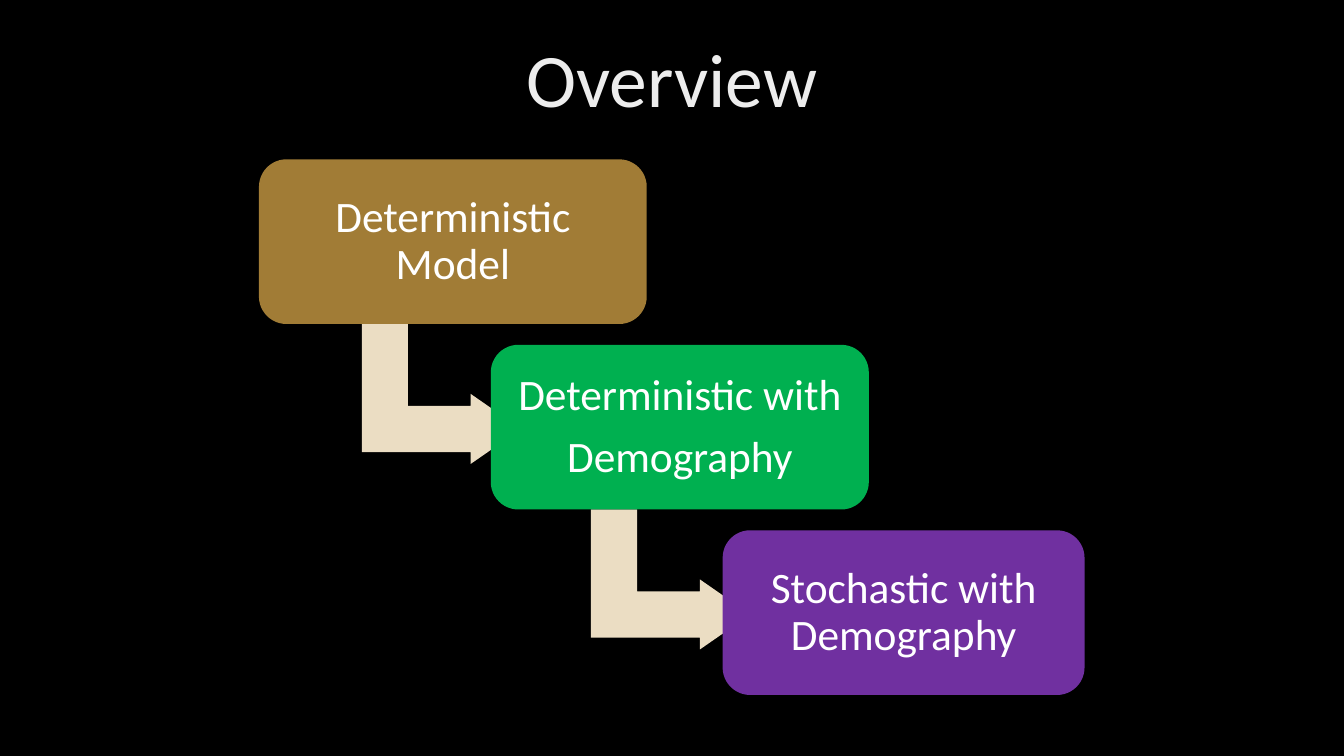
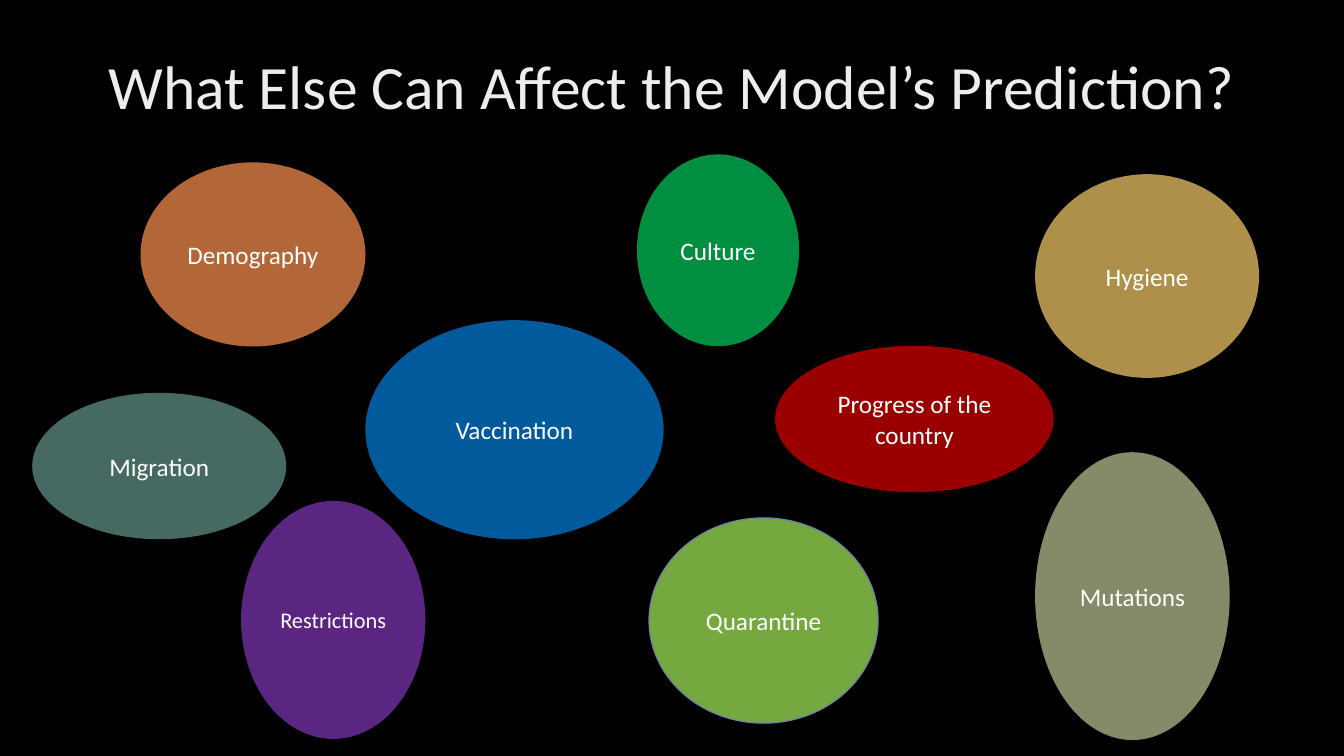
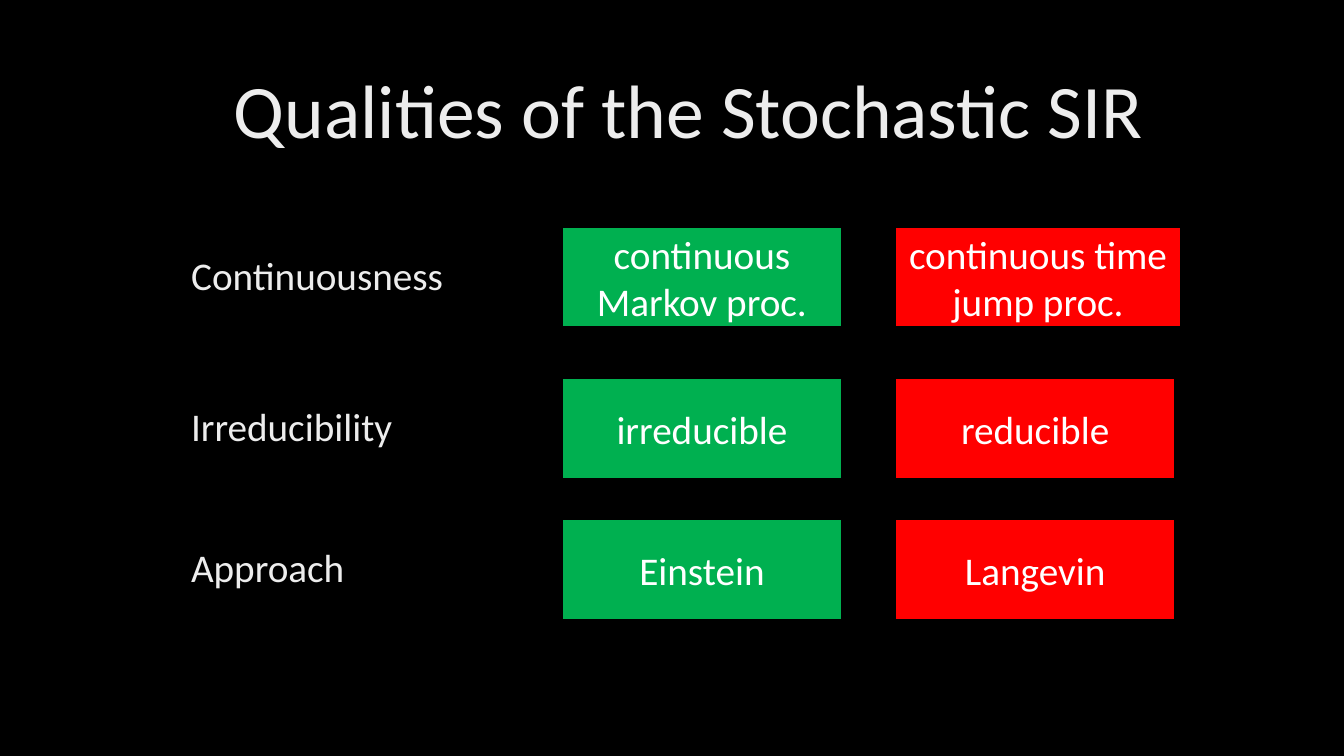
from lxml import etree
from pptx import Presentation
from pptx.dml.color import RGBColor
from pptx.enum.shapes import MSO_SHAPE
from pptx.enum.text import MSO_ANCHOR, MSO_AUTO_SIZE, PP_ALIGN
from pptx.oxml.ns import qn
from pptx.util import Pt

OVAL, RECT = MSO_SHAPE.OVAL, MSO_SHAPE.RECTANGLE
ROUNDED, BENT_ARROW = MSO_SHAPE.ROUNDED_RECTANGLE, MSO_SHAPE.BENT_UP_ARROW
CENTER, LEFT = PP_ALIGN.CENTER, PP_ALIGN.LEFT
MIDDLE, TOP = MSO_ANCHOR.MIDDLE, MSO_ANCHOR.TOP
NO_FIT = MSO_AUTO_SIZE.NONE

FONT = "Calibri"
COLORS = {
    "black": "000000", "white": "FFFFFF", "silver": "EDEDED",
    "bronze": "A17C36", "sand": "EBDDC3", "green": "00B050",
    "purple": "7030A0", "red": "FF0000", "orange": "DD8047",
    "lime": "92D050", "blue": "0070C0", "olive": "A5AB81",
    "crimson": "C00000", "teal": "578279", "gold": "D8B25C",
    "slate": "6D879B",
}
TITLE_SIZE = (828, 104.4)
TITLE_ONLY, TITLE_AND_BODY = 5, 1


def rgb(name):
    return RGBColor.from_string(COLORS[name])


def put_text(sp, text, size=18, color="white", align=CENTER, anchor=MIDDLE,
             line=1.0, gap=0, inset=(7.2, 3.6)):
    """Fill a shape with one paragraph per line of text."""
    tf = sp.text_frame
    tf.word_wrap = True
    tf.auto_size = NO_FIT
    tf.vertical_anchor = anchor
    tf.margin_left = tf.margin_right = Pt(inset[0])
    tf.margin_top = tf.margin_bottom = Pt(inset[1])
    for i, words in enumerate(text.split("\n")):
        p = tf.add_paragraph() if i else tf.paragraphs[0]
        pPr = p._p.get_or_add_pPr()
        pPr.set("marL", "0")
        pPr.set("indent", "0")
        etree.SubElement(pPr, qn("a:buNone"))
        p.alignment = align
        p.line_spacing = line
        p.space_before = Pt(gap if i else 0)
        r = p.add_run()
        r.text = words
        r.font.name, r.font.size = FONT, Pt(size)
        r.font.color.rgb = rgb(color)


def place(sp, box):
    sp.left, sp.top, sp.width, sp.height = map(Pt, box)


def add_block(s, kind, box, fill, line=None, line_width=1, alpha=None):
    sp = s.shapes.add_shape(kind, *map(Pt, box))
    sp.shadow.inherit = False
    sp.fill.solid()
    sp.fill.fore_color.rgb = rgb(fill)
    if alpha:
        clr = sp.element.spPr.find(qn("a:solidFill")).find(qn("a:srgbClr"))
        etree.SubElement(clr, qn("a:alpha")).set("val", str(alpha * 1000))
    if line:
        sp.line.color.rgb = rgb(line)
        sp.line.width = Pt(line_width)
    else:
        sp.line.fill.background()
    return sp


def add_slide(prs, layout, title, left, top, size=54):
    s = prs.slides.add_slide(prs.slide_layouts[layout])
    place(s.shapes.title, (left, top, *TITLE_SIZE))
    put_text(s.shapes.title, title, size=size, color="silver", line=0.9)
    return s


# Overview: a staircase of boxes joined by bent arrows
def add_staircase(s, left, top, steps):
    step_x, step_y, height = 165.6, 132.5, 117.6
    arrow_w, arrow_h = 113.8, 100
    for i, (text, width, fill) in enumerate(steps):
        x, y = left + i * step_x, top + i * step_y
        if i < len(steps) - 1:
            # The frame is given before its quarter turn
            turn = (arrow_w - arrow_h) / 2
            arrow = add_block(s, BENT_ARROW, (x + 0.265 * width + turn,
                              y + height - turn, arrow_h, arrow_w), "sand")
            arrow.rotation = 90
            for k, value in enumerate((0.33, 0.25, 0.36)):
                arrow.adjustments[k] = value
        sp = add_block(s, ROUNDED, (x, y, width, height), fill)
        put_text(sp, text, size=31, line=0.9, gap=11, inset=(9.4, 9.4))


# Factors: translucent ovals
def add_factors(s, factors):
    for text, box, fill, size, line in factors:
        sp = add_block(s, OVAL, box, fill, line=line, alpha=81)
        put_text(sp, text, size=size)


# Qualities: a label and two opposed boxes in each row
def add_qualities(s, left, rows):
    cell_h, label_box = 72, (271.4, 38.2)
    columns = ((272, "green"), (510, "red"))
    for i, (top, label, cells) in enumerate(rows):
        for (dx, fill), (text, width) in zip(columns, cells):
            sp = add_block(s, RECT, (left + dx, top, width, cell_h), fill,
                           line="black", line_width=1.5)
            put_text(sp, text, size=28)
        box = (left, top + 17.5, *label_box)
        if i == 0:
            sp = s.placeholders[1]
            place(sp, box)
        else:
            sp = s.shapes.add_textbox(*map(Pt, box))
        put_text(sp, label, size=28, color="silver", align=LEFT, anchor=TOP,
                 line=0.9)


STEPS = [
    ("Deterministic Model", 277, "bronze"),
    ("Deterministic with\nDemography", 270, "green"),
    ("Stochastic with Demography", 258.5, "purple"),
]
FACTORS = [
    ("Demography", (100.4, 116, 160.6, 131.5), "orange", 18, None),
    ("Quarantine", (463.7, 370, 163.5, 146.5), "lime", 18, "slate"),
    ("Vaccination", (261, 228.7, 213, 156.5), "blue", 18, None),
    ("Culture", (455, 110.3, 115.8, 137), "green", 18, None),
    ("Mutations", (739.4, 323, 139, 205.6), "olive", 18, None),
    ("Progress of the country", (553.7, 247, 199, 104.6), "crimson", 18, None),
    ("Restrictions", (172.2, 357.8, 131.6, 170), "purple", 16, None),
    ("Migration", (23, 280.6, 181.5, 104.6), "teal", 18, None),
    ("Hygiene", (739.4, 124.4, 160, 145.5), "gold", 18, None),
]
QUALITIES = [
    (162, "Continuousness",
     (("continuous Markov proc.", 200), ("continuous time jump proc.", 204))),
    (270, "Irreducibility", (("irreducible", 200), ("reducible", 200))),
    (370.8, "Approach", (("Einstein", 200), ("Langevin", 200))),
]


def main():
    prs = Presentation()
    prs.slide_width, prs.slide_height = Pt(960), Pt(540)
    background = prs.slide_master.background.fill
    background.solid()
    background.fore_color.rgb = rgb("black")

    s = add_slide(prs, TITLE_ONLY, "Overview", 66, 7.2)
    add_staircase(s, 185, 113.8, STEPS)

    s = add_slide(prs, TITLE_ONLY,
                  "What Else Can Affect the Model’s Prediction?",
                  66, 11.5, size=44)
    add_factors(s, FACTORS)

    s = add_slide(prs, TITLE_AND_BODY, "Qualities of the Stochastic SIR",
                  77.8, 29.5)
    add_qualities(s, 129.4, QUALITIES)

    prs.save("out.pptx")


if __name__ == "__main__":
    main()
